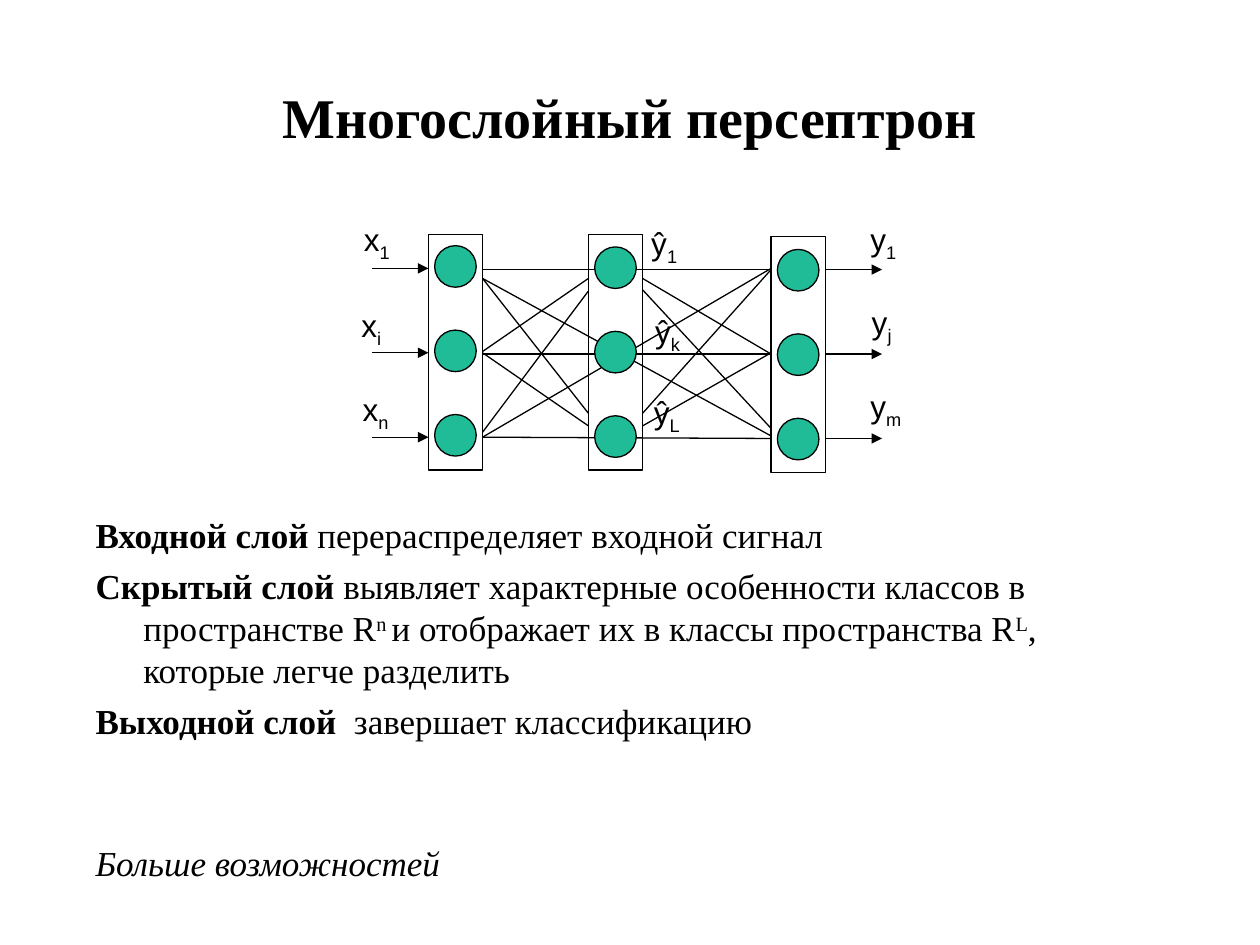
"""Builds a slide on the multilayer perceptron with its network diagram."""
from lxml.etree import SubElement
from pptx import Presentation
from pptx.dml.color import RGBColor
from pptx.enum.shapes import MSO_CONNECTOR as CONNECTOR, MSO_SHAPE as SHAPE
from pptx.enum.text import MSO_ANCHOR as ANCHOR, PP_ALIGN as ALIGN
from pptx.oxml.ns import qn
from pptx.util import Inches, Pt

BLACK = RGBColor(0x00, 0x00, 0x00)
GREEN = RGBColor(0x20, 0xBB, 0x97)
SERIF = "Times New Roman"
LINE_WIDTH = Pt(0.75)

prs = Presentation()
prs.slide_width, prs.slide_height = Inches(10), Inches(7.5)
slide = prs.slides.add_slide(prs.slide_layouts[6])
shapes = slide.shapes


def add_text(paragraphs, left, top, width, height, size=18, font="Arial",
             align=ALIGN.LEFT, anchor=ANCHOR.TOP, hanging=0, before=(0,)):
    frame = shapes.add_textbox(Inches(left), Inches(top), Inches(width), Inches(height)).text_frame
    frame.word_wrap = True
    frame.vertical_anchor = anchor
    for index, runs in enumerate(paragraphs):
        paragraph = frame.add_paragraph() if index else frame.paragraphs[0]
        paragraph.alignment = align
        paragraph.space_before = Pt(before[index])
        if hanging:
            properties = paragraph._p.get_or_add_pPr()
            properties.set("marL", str(Inches(hanging)))
            properties.set("indent", str(-Inches(hanging)))
        for text, style in runs:
            run = paragraph.add_run()
            run.text = text
            run.font.name, run.font.size = font, Pt(size)
            run.font.color.rgb = BLACK
            run.font.bold = style == "bold"
            run.font.italic = style == "italic"
            if style in ("super", "sub"):
                shift = "30000" if style == "super" else "-25000"
                run._r.get_or_add_rPr().set("baseline", shift)


def add_line(x1, y1, x2, y2, arrow=False):
    line = shapes.add_connector(CONNECTOR.STRAIGHT, Inches(x1), Inches(y1), Inches(x2), Inches(y2))
    line.line.color.rgb = BLACK
    line.line.width = LINE_WIDTH
    if arrow:
        SubElement(line.line._get_or_add_ln(), qn("a:tailEnd"), type="triangle")
    SubElement(line._element.spPr, qn("a:effectLst"))


layer_text = [
    [("Входной слой ", "bold"), ("перераспределяет входной сигнал", "")],
    [("Скрытый слой", "bold"),
     (" выявляет характерные особенности классов в пространстве R", ""),
     ("n ", "super"), ("и отображает их в классы пространства R", ""),
     ("L", "super"), (", которые легче разделить", "")],
    [("Выходной слой  ", "bold"), ("завершает классификацию", "")],
    [("Больше возможностей", "italic")],
]
add_text(layer_text, 0.66, 4.03, 8.68, 3.13, size=20, font=SERIF,
         hanging=0.38, before=(0, 5, 5, 57))

INPUT_LEFT, HIDDEN_LEFT, OUTPUT_LEFT = 3.4, 4.67, 6.12
LAYER_WIDTH, LAYER_HEIGHT = 0.43, 1.87
NEURON_SIZE, ROW_STEP = 0.33, 0.67
INPUT_RIGHT, HIDDEN_RIGHT = INPUT_LEFT + LAYER_WIDTH, HIDDEN_LEFT + LAYER_WIDTH

through_links = [(2.14, 2.14), (2.81, 2.81), (3.47, 3.48), (2.21, 3.46), (3.47, 2.13)]
input_links = [(2.8, 3.38), (3.43, 2.31), (2.21, 3.28), (2.79, 2.21)]
output_links = [(2.21, 2.81), (3.38, 2.8), (2.3, 3.4), (3.28, 2.14)]
for start, end, links in (
    (INPUT_RIGHT, OUTPUT_LEFT, through_links),
    (INPUT_RIGHT, HIDDEN_LEFT, input_links),
    (HIDDEN_RIGHT, OUTPUT_LEFT, output_links),
):
    for y1, y2 in links:
        add_line(start, y1, end, y2)

layers = [(INPUT_LEFT, 1.86, 1.95), (HIDDEN_LEFT, 1.86, 1.96), (OUTPUT_LEFT, 1.88, 1.98)]
for layer_left, layer_top, neuron_top in layers:
    outlines = [(SHAPE.OVAL, layer_left + 0.05, neuron_top + row * ROW_STEP,
                 NEURON_SIZE, NEURON_SIZE) for row in range(3)]
    outlines.append((SHAPE.RECTANGLE, layer_left, layer_top, LAYER_WIDTH, LAYER_HEIGHT))
    for kind, *box in outlines:
        part = shapes.add_shape(kind, *map(Inches, box))
        part.shadow.inherit = False
        part.line.color.rgb = BLACK
        part.line.width = LINE_WIDTH
        if kind == SHAPE.OVAL:
            part.fill.solid()
            part.fill.fore_color.rgb = GREEN
        else:
            part.fill.background()

for row in range(3):
    for arrow_left, arrow_right, first_y in ((2.95, INPUT_LEFT, 2.13), (6.55, 7, 2.14)):
        arrow_y = first_y + row * ROW_STEP
        add_line(arrow_left, arrow_y, arrow_right, arrow_y, arrow=True)

signals = [
    ("x", "1", 2.79, 1.7), ("x", "i", 2.77, 2.38), ("x", "n", 2.78, 3.05),
    ("ŷ", "1", 5.07, 1.73), ("ŷ", "k", 5.1, 2.43), ("ŷ", "L", 5.09, 3.07),
    ("y", "1", 6.81, 1.7), ("y", "j", 6.82, 2.36), ("y", "m", 6.81, 3.02),
]
for symbol, subscript, left, top in signals:
    add_text([[(symbol, ""), (subscript, "sub")]], left, top, 0.58, 0.44)

add_text([[("Многослойный персептрон", "bold")]], 0.5, 0.3, 9, 1.25, size=32,
         font=SERIF, align=ALIGN.CENTER, anchor=ANCHOR.MIDDLE)

prs.save("out.pptx")
